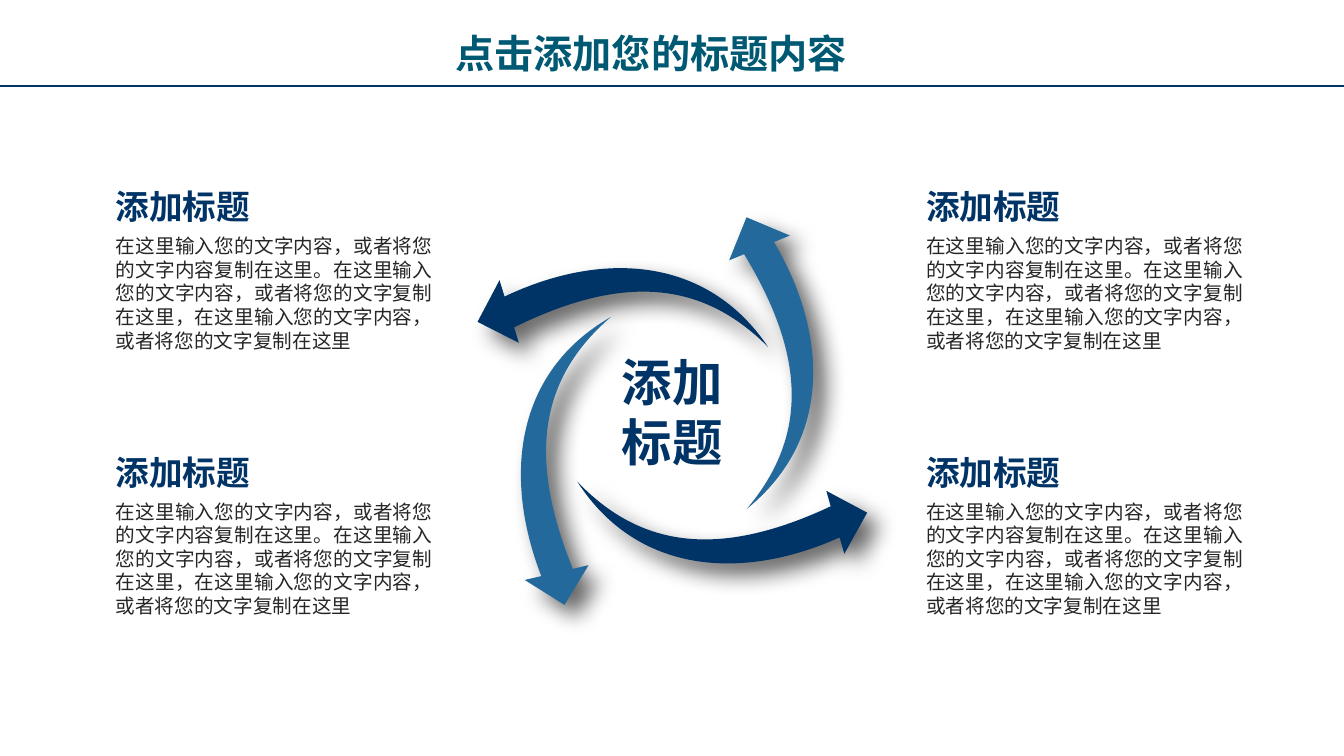
from lxml.etree import SubElement
from pptx import Presentation
from pptx.dml.color import RGBColor
from pptx.enum.shapes import MSO_CONNECTOR
from pptx.enum.text import MSO_AUTO_SIZE, PP_ALIGN
from pptx.oxml.ns import qn
from pptx.util import Inches, Pt

NAVY = RGBColor(0x00, 0x33, 0x66)
BLUE = RGBColor(0x24, 0x69, 0x9C)
TEAL = RGBColor(0x00, 0x59, 0x73)
DARK_GRAY = RGBColor(0x26, 0x26, 0x26)
FONT = "Noto Sans CJK SC"
SLIDE_WIDTH = Inches(40 / 3)
HEADING = "添加标题"
BODY = (
    "在这里输入您的文字内容，或者将您的文字内容复制在这里。"
    "在这里输入您的文字内容，或者将您的文字复制在这里，"
    "在这里输入您的文字内容，或者将您的文字复制在这里"
)
TAIL_START = [(0, 2.35), (0.17, 2.35)]
OUTER_EDGE = [(0.02, 1.32), (0.36, 0.32), (1.42, 0)]
INNER_EDGE = [(0.6, 0.43), (0.3, 1.16), (0.49, 2.35)]
ARROWHEAD = [(0.65, 2.35), (0.33, 2.68)]
ARROWS = [
    (5.42, 1.82, 72.8, NAVY),
    (4.96, 3.27, 347, BLUE),
    (6.5, 3.75, 254, NAVY),
    (6.85, 2.2, 157.8, BLUE),
]


def bend_edges(shape):
    segments = list(shape._element.spPr.iter(qn("a:lnTo")))
    for start in (1, 4):
        first, *others = segments[start:start + 3]
        curve = first.makeelement(qn("a:cubicBezTo"))
        first.addprevious(curve)
        for segment in (first, *others):
            curve.append(segment[0])
            segment.getparent().remove(segment)


def add_shadow(shape):
    effects = SubElement(shape._element.spPr, qn("a:effectLst"))
    shadow = SubElement(
        effects, qn("a:outerShdw"), blurRad=str(Pt(16)), dist=str(Pt(12)),
        dir=str(45 * 60000), algn="tl", rotWithShape="0",
    )
    color = SubElement(shadow, qn("a:srgbClr"), val="000000")
    SubElement(color, qn("a:alpha"), val="60000")


def add_arrow(slide, left, top, rotation, color):
    outline = TAIL_START + OUTER_EDGE + INNER_EDGE + ARROWHEAD
    points = [(Inches(left + x), Inches(top + y)) for x, y in outline]
    builder = slide.shapes.build_freeform(*points[0])
    builder.add_line_segments(points[1:], close=False)
    builder.add_line_segments(points[:1], close=True)
    shape = builder.convert_to_shape()
    bend_edges(shape)
    shape.rotation = rotation
    shape.fill.solid()
    shape.fill.fore_color.rgb = color
    shape.line.fill.background()
    add_shadow(shape)


def add_text(slide, box, text, size, color, bold=True, alignment=PP_ALIGN.LEFT):
    shape = slide.shapes.add_textbox(*(Inches(length) for length in box))
    frame = shape.text_frame
    frame.word_wrap = True
    frame.auto_size = MSO_AUTO_SIZE.SHAPE_TO_FIT_TEXT
    paragraph = frame.paragraphs[0]
    paragraph.text = text
    paragraph.alignment = alignment
    paragraph.line_spacing = Pt(1.2 * size)
    font = paragraph.font
    font.size = Pt(size)
    font.bold = bold
    font.color.rgb = color
    font.name = FONT
    properties = paragraph._p.pPr.find(qn("a:defRPr"))
    SubElement(properties, qn("a:ea"), typeface=FONT)


def add_text_block(slide, left, top):
    add_text(slide, (left, top, 3.34, 0.5), HEADING, 24, NAVY)
    add_text(slide, (left, top + 0.475, 3.34, 1.28), BODY, 14, DARK_GRAY,
             bold=False, alignment=PP_ALIGN.JUSTIFY)


def add_title_rule(slide):
    rule = slide.shapes.add_connector(
        MSO_CONNECTOR.STRAIGHT, Inches(0), Inches(0.85), SLIDE_WIDTH, Inches(0.85)
    )
    rule.line.color.rgb = NAVY
    rule.line.width = Pt(1.5)
    SubElement(rule._element.spPr, qn("a:effectLst"))


def main():
    presentation = Presentation()
    presentation.slide_width = SLIDE_WIDTH
    presentation.slide_height = Inches(7.5)
    slide = presentation.slides.add_slide(presentation.slide_layouts[6])
    add_title_rule(slide)
    add_text(slide, (4.42, 0.24, 4.5, 0.57), "点击添加您的标题内容", 28, TEAL)
    for arrow in ARROWS:
        add_arrow(slide, *arrow)
    for left in (1.05, 9.09):
        for top in (1.8, 4.43):
            add_text_block(slide, left, top)
    add_text(slide, (6.03, 3.43, 1.28, 1.31), HEADING, 36, NAVY,
             alignment=PP_ALIGN.CENTER)
    presentation.save("out.pptx")


if __name__ == "__main__":
    main()
